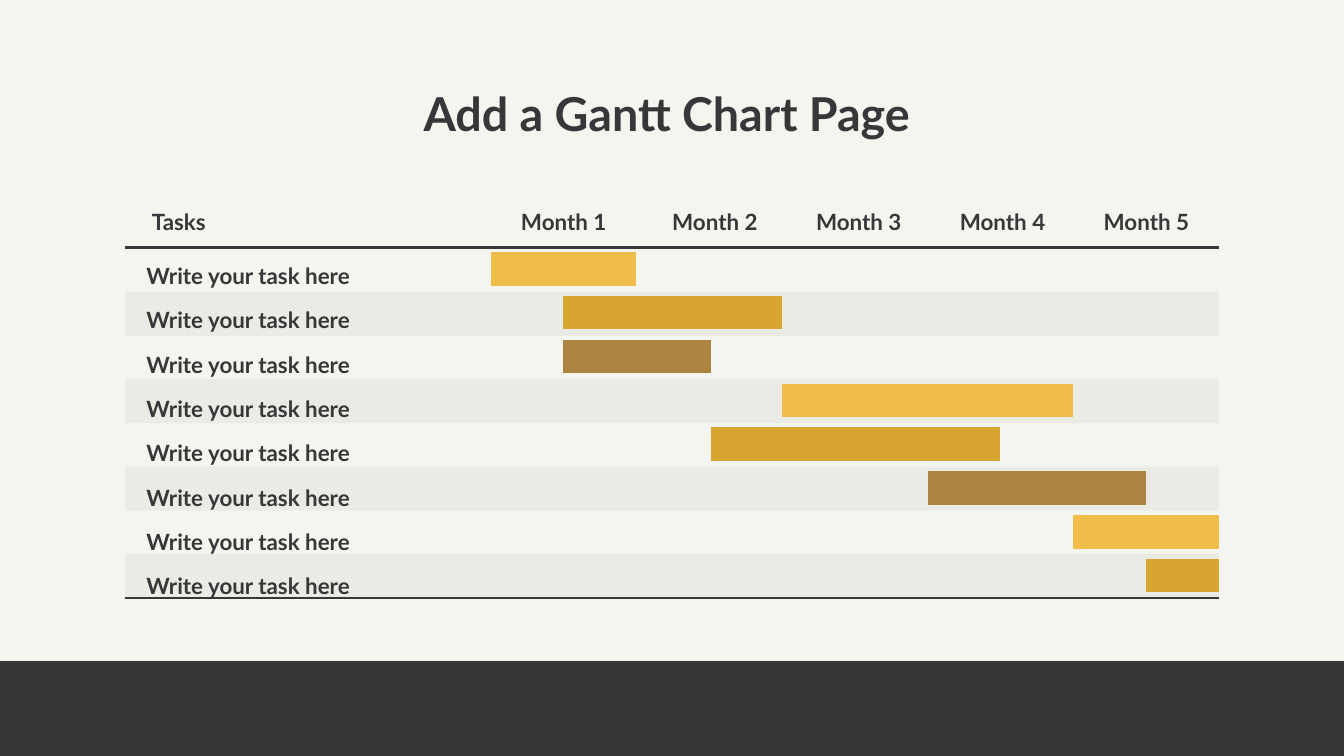
from lxml import etree
from pptx import Presentation
from pptx.dml.color import RGBColor
from pptx.enum.shapes import MSO_CONNECTOR, MSO_SHAPE
from pptx.enum.text import MSO_ANCHOR, MSO_AUTO_SIZE, PP_ALIGN
from pptx.oxml.ns import qn
from pptx.util import Inches, Pt

STRAIGHT = MSO_CONNECTOR.STRAIGHT
RECTANGLE = MSO_SHAPE.RECTANGLE
CENTER, JUSTIFY = PP_ALIGN.CENTER, PP_ALIGN.JUSTIFY
TOP = MSO_ANCHOR.TOP
GROW = MSO_AUTO_SIZE.SHAPE_TO_FIT_TEXT

DARK, PAPER = "363739", "F5F5EF"
YELLOW, GOLD, BROWN = "EFBC49", "D8A530", "AB8540"
rgb = RGBColor.from_string

CHART_LEFT, CHART_RIGHT = 0.93, 9.07
MONTHS_LEFT = 3.65
MONTH_WIDTH = (CHART_RIGHT - MONTHS_LEFT) / 5
ROW_TOP, ROW_BOTTOM = 1.84, 4.45

# Start and end in months, and colour, for each task
tasks = [
    (0, 1, YELLOW),
    (0.5, 2, GOLD),
    (0.5, 1.51, BROWN),
    (2, 4, YELLOW),
    (1.51, 3.5, GOLD),
    (3, 4.5, BROWN),
    (4, 5, YELLOW),
    (4.5, 5, GOLD),
]


def write(shape, text, size, align, spacing):
    frame = shape.text_frame
    frame.text = text
    frame.word_wrap = True
    frame.auto_size = GROW
    frame.vertical_anchor = TOP
    frame.margin_left = frame.margin_right = frame.margin_top = frame.margin_bottom = 0
    paragraph = frame.paragraphs[0]
    paragraph.alignment = align
    paragraph.line_spacing = spacing
    font = paragraph.font
    font.name, font.size, font.bold = "Lato", Pt(size), True
    font.color.rgb = rgb(DARK)


def draw_line(left, right, y, color, width):
    """Draw a horizontal line without a shadow."""
    line = slide.shapes.add_connector(
        STRAIGHT, Inches(left), Inches(y), Inches(right), Inches(y))
    line.line.color.rgb = rgb(color)
    line.line.width = Pt(width)
    etree.SubElement(line._element.spPr, qn("a:effectLst"))


prs = Presentation()
prs.slide_width, prs.slide_height = Inches(10), Inches(10 * 9 / 16)
slide = prs.slides.add_slide(prs.slide_layouts[5])
slide.background.fill.solid()
slide.background.fill.fore_color.rgb = rgb(PAPER)

title = slide.shapes.title
title.left, title.top = Inches(0.93), Inches(0.55)
title.width, title.height = Inches(8.06), Inches(0.42)
write(title, "Add a Gantt Chart Page", 25, CENTER, 1.2)

# Footer block and the shading of every second row
footer = (0, 4.92, 10, 0.71, 100)
bands = [(CHART_LEFT, 2.17 + 0.65 * i, CHART_RIGHT - CHART_LEFT, 0.33, 5) for i in range(4)]
for left, top, width, height, opacity in [footer, *bands]:
    block = slide.shapes.add_shape(
        RECTANGLE, Inches(left), Inches(top), Inches(width), Inches(height))
    block.shadow.inherit = False
    block.line.fill.background()
    block.fill.solid()
    block.fill.fore_color.rgb = rgb(DARK)
    if opacity < 100:
        color = block._element.spPr.find(qn("a:solidFill"))[0]
        etree.SubElement(color, qn("a:alpha"), val=str(opacity * 1000))

for y in (ROW_TOP, ROW_BOTTOM):
    draw_line(CHART_LEFT, CHART_RIGHT, y, DARK, 1.5)

# Column headings, then one label per task
labels = [("Tasks", 1.13, 1.47, 2.39, JUSTIFY), ("Month 1", 3.78, 1.47, 0.83, CENTER)]
labels += [(f"Month {i + 2}", 4.96 + 1.07 * i, 1.47, 0.72, CENTER) for i in range(4)]
labels += [("Write your task here", 1.09, 1.87 + 0.33 * i, 2.43, JUSTIFY)
           for i in range(len(tasks))]
for text, left, top, width, align in labels:
    label = slide.shapes.add_textbox(Inches(left), Inches(top), Inches(width), Inches(0.2))
    write(label, text, 12, align, 1.4)

row_height = (ROW_BOTTOM - ROW_TOP) / len(tasks)
for row, (start, end, color) in enumerate(tasks):
    draw_line(MONTHS_LEFT + start * MONTH_WIDTH, MONTHS_LEFT + end * MONTH_WIDTH,
              2 + row * row_height, color, 18)

prs.save("out.pptx")
